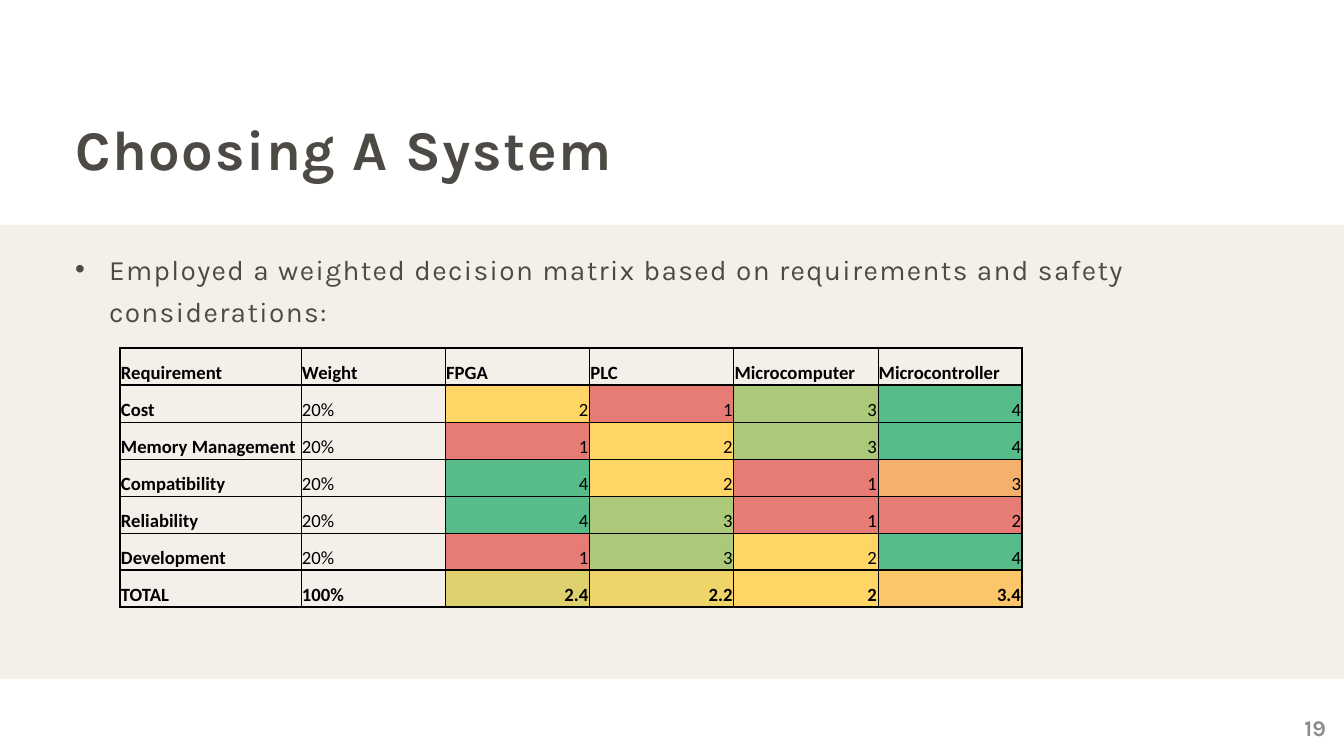
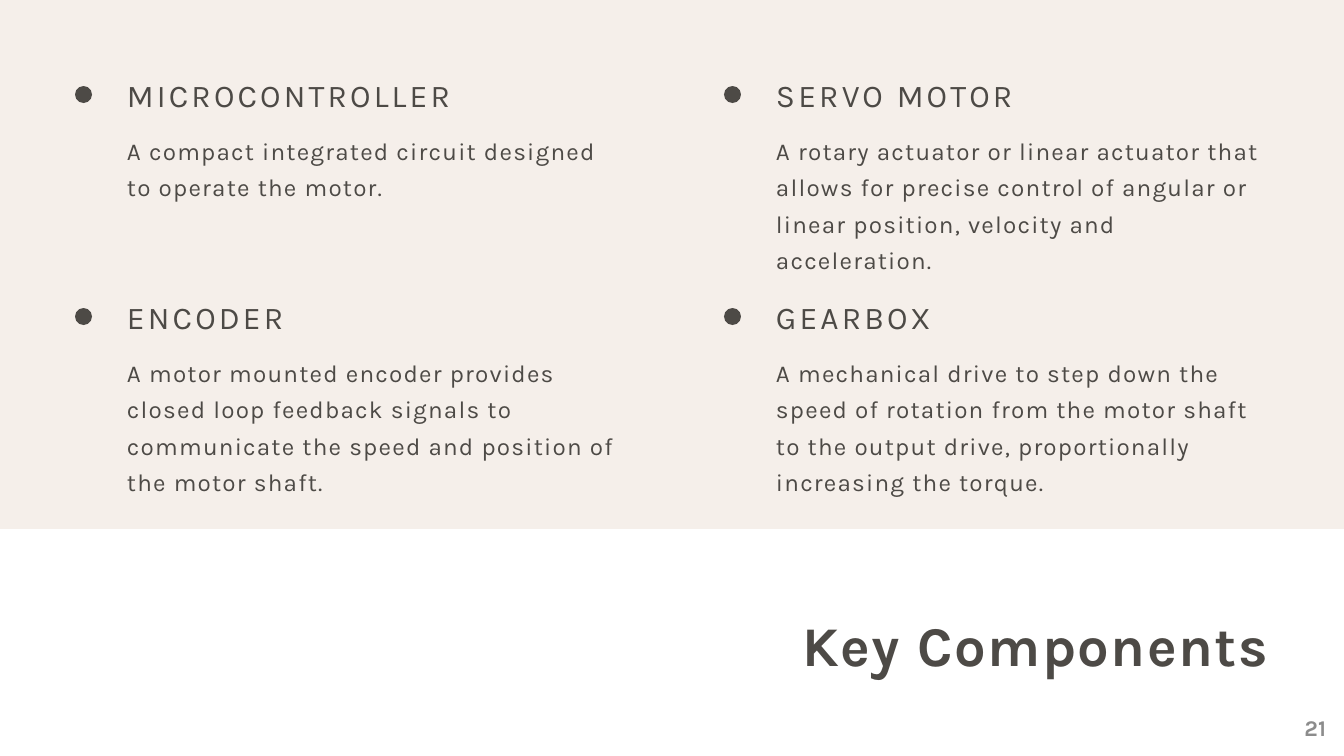
from pptx import Presentation
from pptx.dml.color import RGBColor
from pptx.enum.shapes import MSO_SHAPE as SHAPE
from pptx.enum.text import MSO_ANCHOR as ANCHOR, MSO_AUTO_SIZE as AUTO, PP_ALIGN as ALIGN
from pptx.oxml.ns import qn
from pptx.util import Pt
from lxml.etree import SubElement

# Content
MATRIX_TITLE = "Choosing A System"
MATRIX_INTRO = ("Employed a weighted decision matrix based on requirements "
                "and safety considerations:")
HEADER = ["Requirement", "Weight", "FPGA", "PLC", "Microcomputer", "Microcontroller"]
# Each score is followed by the key of its cell colour
ROWS = [
    ("Cost", "20%", "2 yellow", "1 red", "3 lime", "4 green"),
    ("Memory Management", "20%", "1 red", "2 yellow", "3 lime", "4 green"),
    ("Compatibility", "20%", "4 green", "2 yellow", "1 red", "3 orange"),
    ("Reliability", "20%", "4 green", "3 lime", "1 red", "2 red"),
    ("Development", "20%", "1 red", "3 lime", "2 yellow", "4 green"),
    ("TOTAL", "100%", "2.4 olive", "2.2 straw", "2 yellow", "3.4 amber"),
]
COMPONENTS_TITLE = "Key Components"
COMPONENTS = [
    ("MICROCONTROLLER", "A compact integrated circuit designed to operate the motor."),
    ("SERVO MOTOR", "A rotary actuator or linear actuator that allows for precise control "
                    "of angular or linear position, velocity and acceleration."),
    ("ENCODER", "A motor mounted encoder provides closed loop feedback signals to "
                "communicate the speed and position of the motor shaft."),
    ("GEARBOX", "A mechanical drive to step down the speed of rotation from the motor shaft "
                "to the output drive, proportionally increasing the torque."),
]

# Shared style
FONT, TABLE_FONT = "Karla", "Calibri"
INK, BAND, GREY, BLACK = "4D4A46", "E4D4C5", "8C8C8C", "000000"
HEAT = {"red": "E67C73", "orange": "F4B06C", "amber": "FAC669", "yellow": "FFD666",
        "straw": "EFD469", "olive": "DED16D", "lime": "ABC978", "green": "57BB8A"}
THIN, MEDIUM, THICK = 0.5, 1.5, 2.25
COL_EDGES = [THICK, THIN, MEDIUM, THIN, THIN, THIN, THICK]
ROW_EDGES = [THICK, MEDIUM, THIN, THIN, THIN, THIN, MEDIUM, THICK]
SCALE = 914400 / 67.2


def px(n):
    return round(n * SCALE)


def rgb(value):
    return RGBColor.from_string(value)


def add_run(p, text, size, color=INK, font=FONT, bold=False, spacing=0):
    r = p.add_run()
    r.text = text
    r.font.size, r.font.name, r.font.bold = Pt(size), font, bold
    r.font.color.rgb = rgb(color)
    if spacing:
        r._r.get_or_add_rPr().set("spc", str(round(spacing * 100)))


def set_text(sp, box, text, size, leading=None, align=ALIGN.LEFT, anchor=ANCHOR.TOP, **style):
    sp.left, sp.top, sp.width, sp.height = map(px, box)
    tf = sp.text_frame
    tf.word_wrap, tf.auto_size, tf.vertical_anchor = True, AUTO.NONE, anchor
    tf.margin_left = tf.margin_top = tf.margin_right = tf.margin_bottom = 0
    p = tf.paragraphs[0]
    p.alignment, p.space_before = align, Pt(0)
    if leading:
        p.line_spacing = Pt(leading)
    add_run(p, text, size, **style)
    return p


def add_text(slide, *args, **style):
    return set_text(slide.shapes.add_textbox(0, 0, 0, 0), *args, **style)


def add_solid(slide, kind, box, color):
    sp = slide.shapes.add_shape(kind, *map(px, box))
    sp.shadow.inherit = False
    sp.fill.solid()
    sp.fill.fore_color.rgb = rgb(color)
    sp.line.fill.background()
    return sp


def new_slide(layout, title, title_box, align, leading, spacing, band_box, number):
    """Slide with the translucent band, the title and the page number."""
    slide = prs.slides.add_slide(prs.slide_layouts[layout])
    band = add_solid(slide, SHAPE.RECTANGLE, band_box, BAND)
    color = band._element.spPr.find(qn("a:solidFill"))[0]
    SubElement(color, qn("a:alpha")).set("val", "35000")
    slide.shapes._spTree.insert(2, band._element)  # behind the placeholders
    set_text(slide.shapes.title, title_box, title, 60, leading, align,
             bold=True, spacing=spacing)
    add_text(slide, (1176, 714, 150, 27), number, 24, align=ALIGN.RIGHT,
             anchor=ANCHOR.MIDDLE, color=GREY, bold=True)
    return slide


def set_borders(cell, row, col):
    edges = {"L": COL_EDGES[col], "R": COL_EDGES[col + 1],
             "T": ROW_EDGES[row], "B": ROW_EDGES[row + 1]}
    for side, width in edges.items():
        ln = SubElement(cell._tc.get_or_add_tcPr(), qn(f"a:ln{side}"))
        ln.set("w", str(Pt(width)))
        SubElement(SubElement(ln, qn("a:solidFill")), qn("a:srgbClr")).set("val", BLACK)


def add_matrix(slide, left, top, width, row_height, first_width):
    rows = [HEADER] + ROWS
    n_rows, n_cols = len(rows), len(HEADER)
    table = slide.shapes.add_table(n_rows, n_cols, px(left), px(top), px(width),
                                   px(row_height * n_rows)).table
    table.first_row = table.horz_banding = False
    for j, column in enumerate(table.columns):
        column.width = px((width - first_width) / (n_cols - 1) if j else first_width)
    for i, row in enumerate(rows):
        table.rows[i].height = px(row_height)
        for j, entry in enumerate(row):
            cell = table.cell(i, j)
            cell.margin_left = cell.margin_right = cell.margin_top = px(1)
            cell.margin_bottom = 0
            cell.vertical_anchor = ANCHOR.BOTTOM
            set_borders(cell, i, j)
            p = cell.text_frame.paragraphs[0]
            if i and j > 1:
                entry, heat = entry.split()
                p.alignment = ALIGN.RIGHT
                cell.fill.solid()
                cell.fill.fore_color.rgb = rgb(HEAT[heat])
            else:
                cell.fill.background()
            add_run(p, entry, 20, BLACK, TABLE_FONT, bold=j == 0 or i in (0, n_rows - 1))


prs = Presentation()
prs.slide_width, prs.slide_height = px(1344), px(756)

# Slide 1: decision matrix
slide = new_slide(1, MATRIX_TITLE, (75, 114, 954, 68), ALIGN.LEFT, 72, 1.8,
                  (-34, 225, 1412, 454), "19")
p = set_text(slide.placeholders[1], (75, 244, 1134, 85), MATRIX_INTRO, 30, 45, spacing=1.5)
pPr = p._p.get_or_add_pPr()
pPr.set("marL", str(px(34)))
pPr.set("indent", str(px(-34)))
SubElement(pPr, qn("a:buChar")).set("char", "•")
add_matrix(slide, left=120, top=348, width=902, row_height=37, first_width=181)

# Slide 2: components in a two by two grid
slide = new_slide(5, COMPONENTS_TITLE, (307, 609, 962, 70), ALIGN.RIGHT, 74.1, 1.7,
                  (-26, -27, 1394, 556), "21")
for i, (name, description) in enumerate(COMPONENTS):
    x, y = 75 + i % 2 * 649, 76 + i // 2 * 222
    add_solid(slide, SHAPE.OVAL, (x, y + 10, 17, 17), INK)
    add_text(slide, (x + 52, y, 493, 39), name, 34, 40.8, spacing=3.4)
    add_text(slide, (x + 52, y + 53, 493, 147), description, 26, 39, spacing=1.3)

prs.save("out.pptx")
